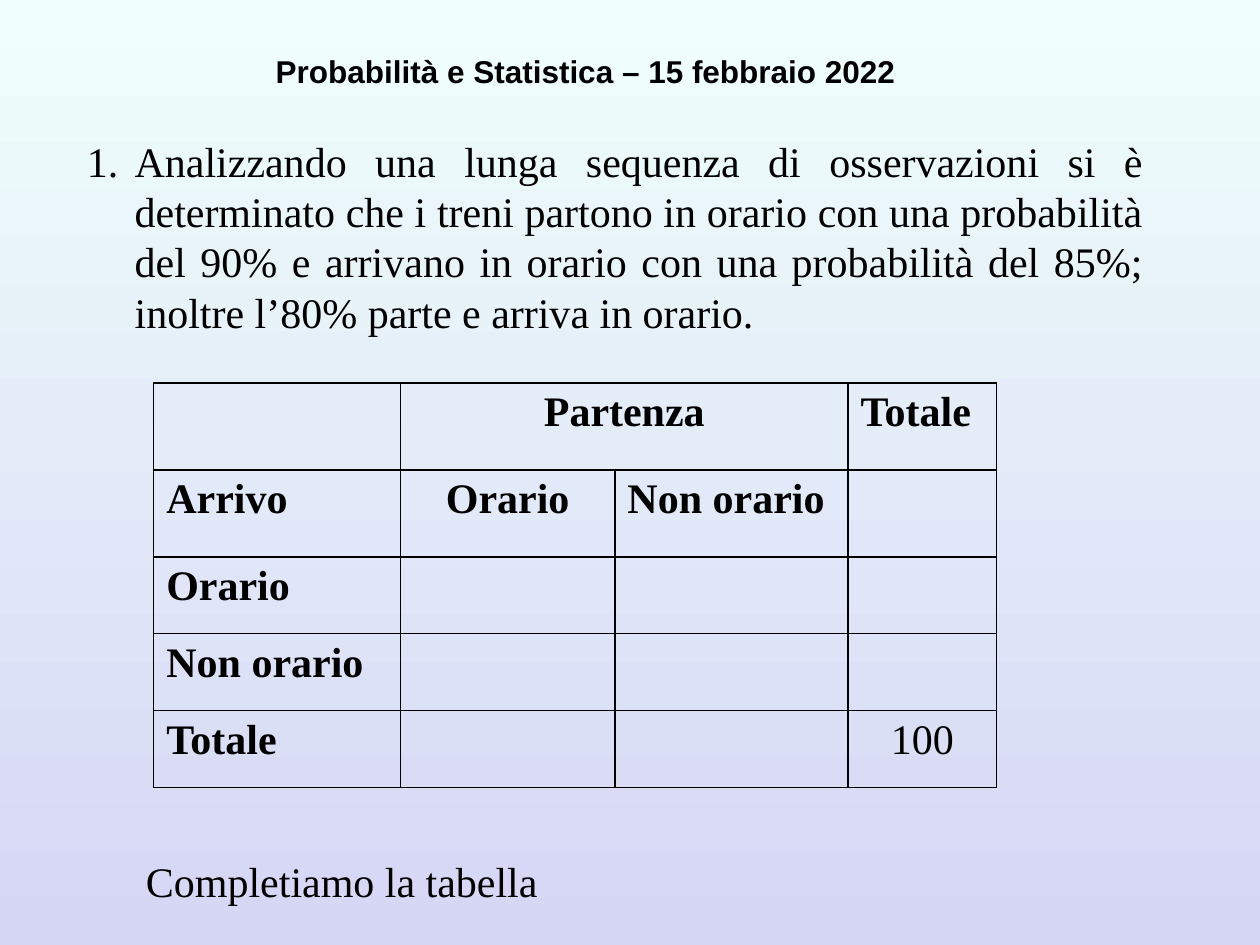
from dataclasses import dataclass

from lxml import etree
from pptx import Presentation
from pptx import util as u
from pptx.dml.color import RGBColor
from pptx.enum import text
from pptx.oxml import ns

WIDTH, HEIGHT = 10, 7.5
COLOURS = {"ink": "000000", "top": "F0FFFB", "bottom": "D6D6F5"}
SERIF, SANS = "Times New Roman", "Arial"
LEFT, CENTRE, JUSTIFY = text.PP_ALIGN.LEFT, text.PP_ALIGN.CENTER, text.PP_ALIGN.JUSTIFY
HANGING = 0.38
COLUMNS = (1.96, 1.7, 1.85, 1.18)
ROWS = (0.69, 0.69, 0.61, 0.61, 0.61)


@dataclass
class Block:
    """A text box; place is left, top, width, height as shares of the slide."""
    words: str
    place: tuple[float, float, float, float]
    font: str = SERIF
    size: int = 24
    bold: bool = False
    align: text.PP_ALIGN = LEFT
    anchor: text.MSO_ANCHOR = text.MSO_ANCHOR.TOP
    wrap: bool = True
    numbered: bool = False


@dataclass
class Entry:
    """A filled table cell, by row and column of the grid."""
    row: int
    column: int
    words: str
    align: text.PP_ALIGN = JUSTIFY
    bold: bool = True


BLOCKS = (
    Block("Probabilità e Statistica – 15 febbraio 2022", (0.209, 0.048, 0.866, 0.053),
          font=SANS, size=18, bold=True, anchor=text.MSO_ANCHOR.MIDDLE),
    Block("Analizzando una lunga sequenza di osservazioni si è determinato che i treni "
          "partono in orario con una probabilità del 90% e arrivano in orario con una "
          "probabilità del 85%; inoltre l’80% parte e arriva in orario.",
          (0.059, 0.1364, 0.858, 0.218), align=JUSTIFY, numbered=True),
    Block("Completiamo la tabella", (0.106, 0.899, 0.333, 0.067), wrap=False),
)
ENTRIES = (
    Entry(0, 1, "Partenza", CENTRE), Entry(0, 3, "Totale"),
    Entry(1, 0, "Arrivo"), Entry(1, 1, "Orario", CENTRE), Entry(1, 2, "Non orario"),
    Entry(2, 0, "Orario"), Entry(3, 0, "Non orario"),
    Entry(4, 0, "Totale"), Entry(4, 3, "100", CENTRE, bold=False),
)


def write(para, words: str, font: str, size: int, bold: bool, align) -> None:
    para.alignment = align
    span = para.add_run()
    span.text = words
    span.font.name, span.font.size, span.font.bold = font, u.Pt(size), bold
    span.font.color.rgb = RGBColor.from_string(COLOURS["ink"])


def add_number(para) -> None:
    properties = para._p.get_or_add_pPr()
    properties.set("marL", str(u.Inches(HANGING)))
    properties.set("indent", str(-u.Inches(HANGING)))
    etree.SubElement(properties, ns.qn("a:buFont"), typeface=SERIF)
    etree.SubElement(properties, ns.qn("a:buAutoNum"), type="arabicPeriod")


def add_block(page, block: Block) -> None:
    left, top, width, height = block.place
    box = page.shapes.add_textbox(u.Inches(left * WIDTH), u.Inches(top * HEIGHT),
                                  u.Inches(width * WIDTH), u.Inches(height * HEIGHT))
    frame = box.text_frame
    frame.word_wrap = block.wrap
    frame.vertical_anchor = block.anchor
    para = frame.paragraphs[0]
    if block.numbered:
        add_number(para)
    write(para, block.words, block.font, block.size, block.bold, block.align)


def add_borders(cell) -> None:
    properties = cell._tc.get_or_add_tcPr()
    for index, side in enumerate(("lnL", "lnR", "lnT", "lnB")):
        line = etree.Element(ns.qn(f"a:{side}"), w=str(u.Pt(1)))
        fill = etree.SubElement(line, ns.qn("a:solidFill"))
        etree.SubElement(fill, ns.qn("a:srgbClr"), val=COLOURS["ink"])
        properties.insert(index, line)


def add_grid(page) -> None:
    table = page.shapes.add_table(len(ROWS), len(COLUMNS), u.Inches(1.22), u.Inches(3.04),
                                  u.Inches(sum(COLUMNS)), u.Inches(sum(ROWS))).table
    table.first_row = table.horz_banding = False
    for column, width in zip(table.columns, COLUMNS):
        column.width = u.Inches(width)
    for row, height in zip(table.rows, ROWS):
        row.height = u.Inches(height)
    for cell in table.iter_cells():
        cell.fill.background()
        add_borders(cell)
    table.cell(0, 1).merge(table.cell(0, 2))
    for entry in ENTRIES:
        para = table.cell(entry.row, entry.column).text_frame.paragraphs[0]
        write(para, entry.words, SERIF, 24, entry.bold, entry.align)


def main() -> None:
    deck = Presentation()
    deck.slide_width, deck.slide_height = u.Inches(WIDTH), u.Inches(HEIGHT)
    page = deck.slides.add_slide(deck.slide_layouts[6])

    # Background, shaded from top to bottom
    fill = page.background.fill
    fill.gradient()
    fill.gradient_angle = 270
    for stop, name in zip(fill.gradient_stops, ("top", "bottom")):
        stop.color.rgb = RGBColor.from_string(COLOURS[name])

    # Title, question and closing line
    for block in BLOCKS:
        add_block(page, block)

    # Table to be completed
    add_grid(page)
    deck.save("out.pptx")


if __name__ == "__main__":
    main()
